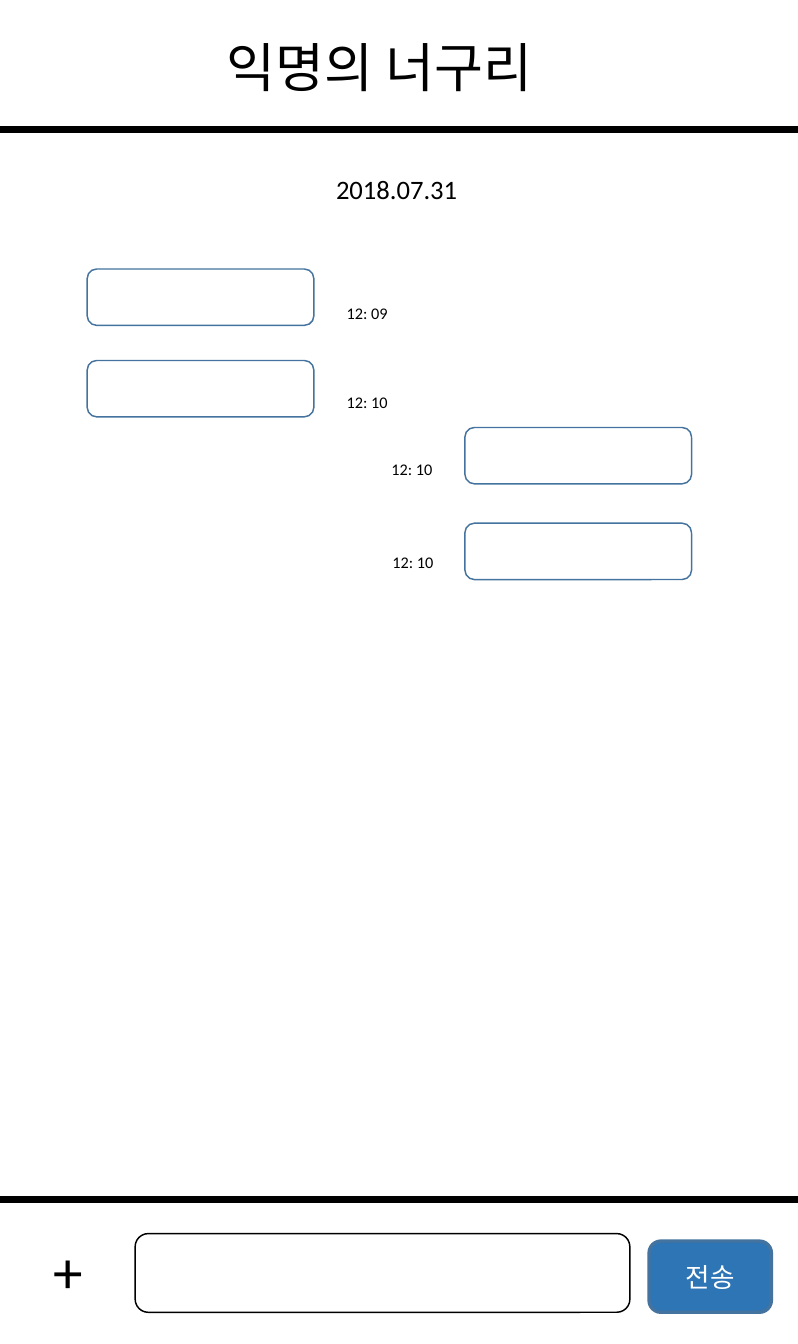
from lxml import etree
from pptx import Presentation
from pptx.dml.color import RGBColor
from pptx.enum.shapes import MSO_CONNECTOR, MSO_SHAPE
from pptx.enum.text import MSO_ANCHOR, PP_ALIGN
from pptx.oxml.ns import qn
from pptx.util import Cm, Inches, Pt

STRAIGHT = MSO_CONNECTOR.STRAIGHT
ROUNDED = MSO_SHAPE.ROUNDED_RECTANGLE
MIDDLE = MSO_ANCHOR.MIDDLE
CENTER = PP_ALIGN.CENTER

BLACK = RGBColor(0x00, 0x00, 0x00)
WHITE = RGBColor(0xFF, 0xFF, 0xFF)
BLUE = RGBColor(0x2E, 0x75, 0xB6)
EDGE_BLUE = RGBColor(0x43, 0x73, 0x9E)
FONT = "Calibri"

WIDTH = 7.5
SLIDE_HEIGHT = Cm(32.1)
HEADER_BOTTOM, FOOTER_TOP = 1.22, 11.28
BUBBLE_WIDTH, BUBBLE_HEIGHT = 2.13, 0.53
RECEIVED_LEFT, SENT_LEFT = 0.82, 4.37

MESSAGES = [
    (RECEIVED_LEFT, 1.31, 3.16, 1.58, "12: 09"),
    (RECEIVED_LEFT, 2.17, 3.16, 2.42, "12: 10"),
    (SENT_LEFT, 2.8, 3.58, 3.05, "12: 10"),
    (SENT_LEFT, 3.7, 3.59, 3.92, "12: 10"),
]


def add_run(paragraph, text, size, color):
    """Append one styled run to a paragraph."""
    run = paragraph.add_run()
    run.text = text
    run.font.name = FONT
    run.font.size = Pt(size)
    run.font.color.rgb = color


def add_label(slide, left, top, width, height, text, size):
    """Add a wrapping text box with black text."""
    box = slide.shapes.add_textbox(
        Inches(left), Inches(top), Inches(width), Inches(height))
    box.text_frame.word_wrap = True
    add_run(box.text_frame.paragraphs[0], text, size, BLACK)


def add_rounded_box(slide, left, top, width, height, edge, weight=1, fill=None):
    """Add an outlined rounded rectangle, hollow unless a fill is given."""
    shape = slide.shapes.add_shape(
        ROUNDED, Inches(left), Inches(top), Inches(width), Inches(height))
    shape.shadow.inherit = False
    if fill is None:
        shape.fill.background()
    else:
        shape.fill.solid()
        shape.fill.fore_color.rgb = fill
    shape.line.color.rgb = edge
    shape.line.width = Pt(weight)
    return shape


def add_divider(slide, left, top, width):
    """Add a thick horizontal rule."""
    line = slide.shapes.add_connector(
        STRAIGHT, Inches(left), Inches(top), Inches(left + width), Inches(top))
    line.line.color.rgb = BLACK
    line.line.width = Pt(4.5)
    etree.SubElement(line._element.spPr, qn("a:effectLst"))


def build_header(slide, left, top, width, height):
    """Place the chat title above its divider."""
    add_divider(slide, left, top + height, width)
    add_label(slide, left + 2.03, top + 0.27, 3.44, 0.71, "익명의 너구리", 36)


def build_conversation(slide, left, top):
    """Place the date, the message bubbles and their times."""
    add_label(slide, left + 3.06, top + 0.36, 1.38, 0.4, "2018.07.31", 18)
    for bubble_left, bubble_top, time_left, time_top, time in MESSAGES:
        add_rounded_box(slide, left + bubble_left, top + bubble_top,
                        BUBBLE_WIDTH, BUBBLE_HEIGHT, EDGE_BLUE)
        add_label(slide, left + time_left, top + time_top, 1.17, 0.29, time, 11)


def build_input_bar(slide, left, top, width):
    """Place the divider, plus sign, entry field and send button."""
    add_divider(slide, left, top, width)
    add_label(slide, left + 0.4, top + 0.28, 0.42, 0.77, "+", 40)
    add_rounded_box(slide, left + 1.27, top + 0.32, 4.65, 0.74, BLACK)
    button = add_rounded_box(
        slide, left + 6.1, top + 0.39, 1.15, 0.67, EDGE_BLUE, 2.25, BLUE)
    button.text_frame.vertical_anchor = MIDDLE
    paragraph = button.text_frame.paragraphs[0]
    paragraph.alignment = CENTER
    add_run(paragraph, "전송", 18, WHITE)


def main():
    """Build and save the chat screen."""
    presentation = Presentation()
    presentation.slide_width = Inches(WIDTH)
    presentation.slide_height = SLIDE_HEIGHT
    slide = presentation.slides.add_slide(presentation.slide_layouts[6])
    slide.background.fill.solid()
    slide.background.fill.fore_color.rgb = WHITE
    build_header(slide, 0, 0, WIDTH, HEADER_BOTTOM)
    build_conversation(slide, 0, HEADER_BOTTOM)
    build_input_bar(slide, 0, FOOTER_TOP, WIDTH)
    presentation.save("out.pptx")


main()
